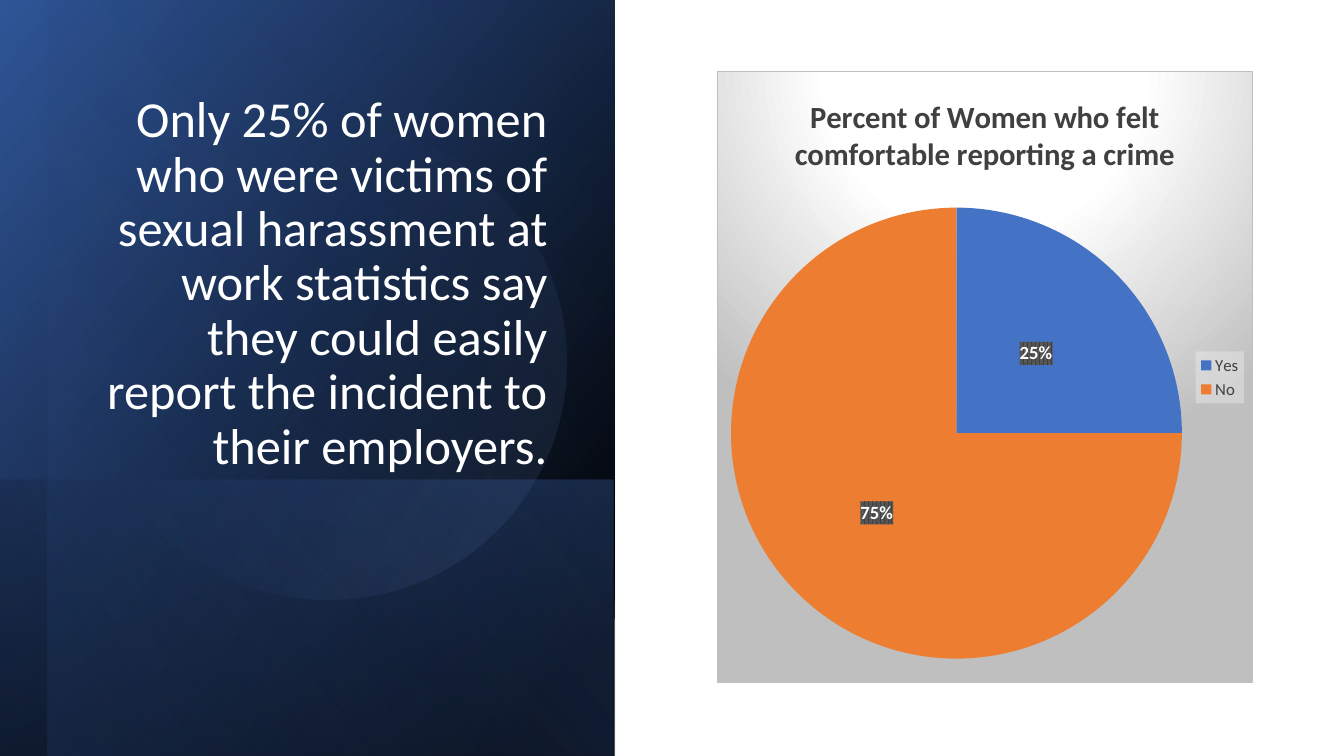
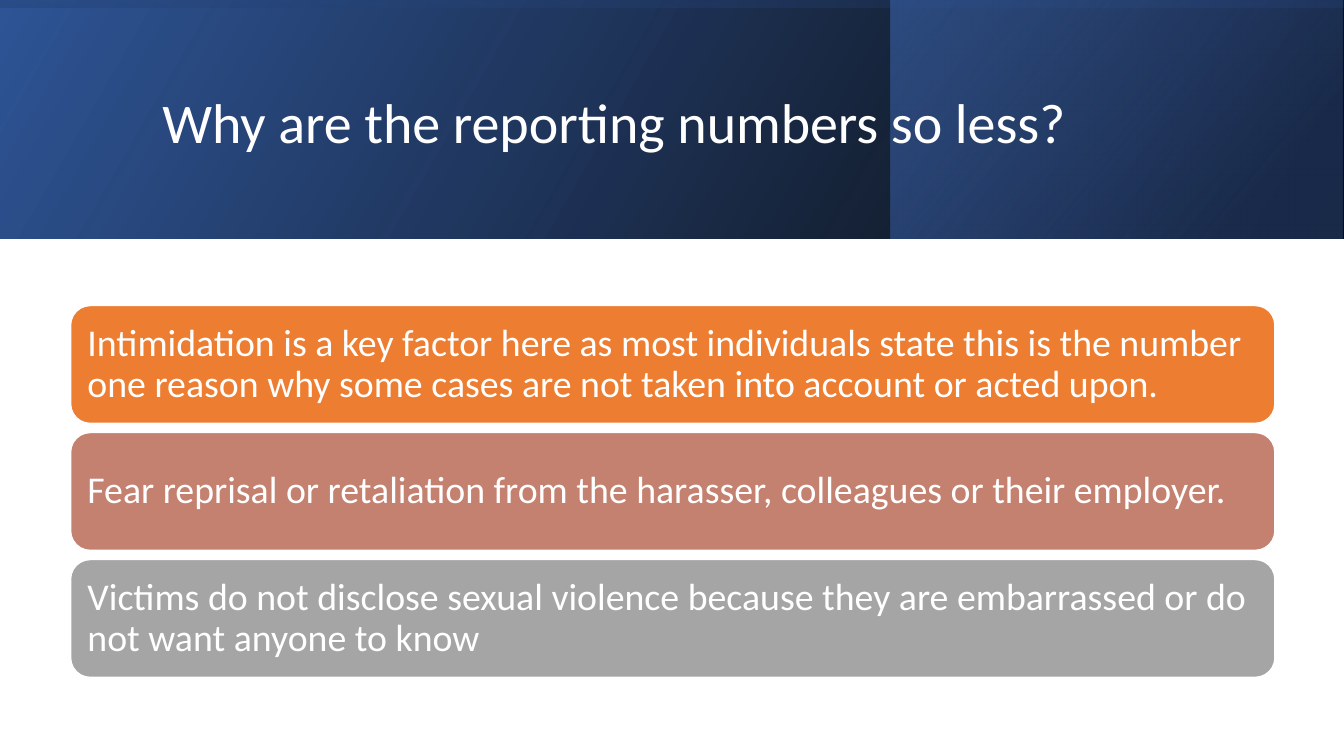
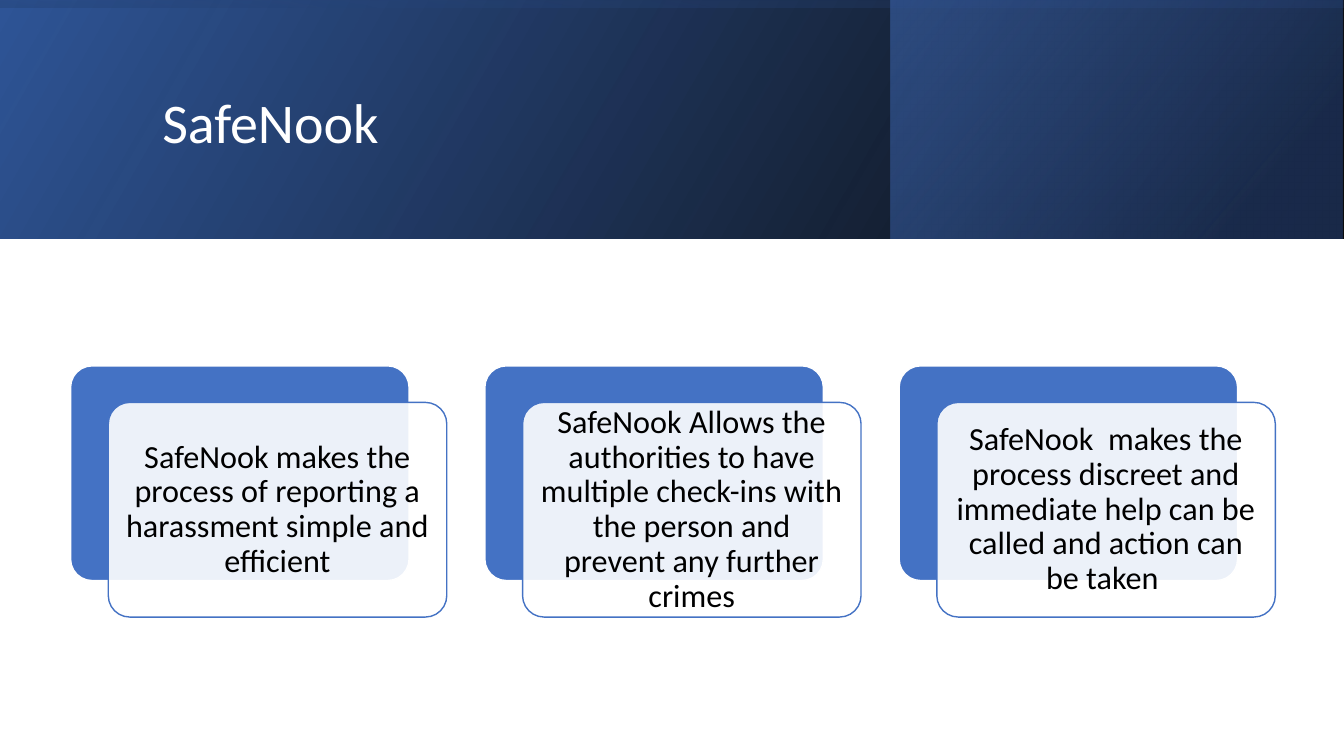
"""Build three slides on reporting harassment at work."""
import pptx
import pptx.chart.data
import pptx.dml.color
import pptx.enum.chart
import pptx.enum.shapes
import pptx.enum.text
import pptx.oxml
import pptx.oxml.ns
import pptx.util

Cm = pptx.util.Cm
Pt = pptx.util.Pt
RGB = pptx.dml.color.RGBColor.from_string
Kind = pptx.enum.shapes.MSO_SHAPE
Align = pptx.enum.text.PP_ALIGN
Anchor = pptx.enum.text.MSO_ANCHOR
NS = pptx.oxml.ns.nsdecls("a", "c")


class Theme:
    font = "Calibri"
    white, black, ink = "FFFFFF", "000000", "404040"
    blue, navy, deep, pale = "4472C4", "2F5597", "203864", "8FAADC"
    orange, rose, grey, silver = "ED7D31", "C48170", "A5A5A5", "BFBFBF"
    slate, mist = "595959", "F2F2F2"
    title, lead, pill, card = 40, 36, 27, 23
    head, label, key = 22, 13.3, 12


def panel(slide, kind, box, stops, angle, turn=0, flip=True):
    shape = slide.shapes.add_shape(kind, *map(Cm, box))
    marks = "".join(
        f'<a:gs pos="{pos * 1000}"><a:srgbClr val="{color}"><a:alpha val="{alpha * 1000}"/></a:srgbClr></a:gs>'
        for pos, color, alpha in stops)
    fill = pptx.oxml.parse_xml(
        f'<a:gradFill {NS} rotWithShape="1"><a:gsLst>{marks}</a:gsLst>'
        f'<a:lin ang="{angle * 60000}" scaled="0"/></a:gradFill>')
    props = shape._element.spPr
    props.prstGeom.addnext(fill)
    if flip:
        props.xfrm.set("flipH", "1")
    shape.rotation = turn
    shape.line.fill.background()
    shape.shadow.inherit = False


def write(shape, text, size, color, align=Align.LEFT, anchor=Anchor.MIDDLE, inset=None):
    frame = shape.text_frame
    frame.word_wrap = True
    frame.vertical_anchor = anchor
    if inset:
        frame.margin_left = frame.margin_right = Cm(inset)
        frame.margin_top = frame.margin_bottom = Cm(inset)
    para = frame.paragraphs[0]
    para.text = text
    para.alignment = align
    para.line_spacing = 0.9
    para.font.name = Theme.font
    para.font.size = Pt(size)
    para.font.color.rgb = RGB(color)


deck = pptx.Presentation()
deck.slide_width, deck.slide_height = Cm(33.87), Cm(19.05)
blank = deck.slide_layouts[6]

slide = deck.slides.add_slide(blank)
panel(slide, Kind.RECTANGLE, (-1.78, 1.78, 19.05, 15.49),
      [(8, Theme.black, 100), (100, Theme.navy, 100)], 50, 90)
panel(slide, Kind.RECTANGLE, (4.24, 7.82, 6.96, 15.49),
      [(2, Theme.blue, 29), (100, Theme.black, 30)], 130, 90)
panel(slide, Kind.RECTANGLE, (-1.17, 2.36, 19.05, 14.3),
      [(0, Theme.black, 0), (99, Theme.blue, 11)], 130, 90)
panel(slide, Kind.OVAL, (2.29, 3.12, 11.99, 11.99),
      [(39, Theme.blue, 0), (100, Theme.pale, 15)], 290, 101.6, False)
lead = slide.shapes.add_textbox(Cm(2.29), Cm(0.64), Cm(11.76), Cm(11.46))
write(lead, "Only 25% of women who were victims of sexual harassment at work statistics say "
      "they could easily report the incident to their employers.",
      Theme.lead, Theme.white, Align.RIGHT, Anchor.BOTTOM)

topic = "Percent of Women who felt comfortable reporting a crime"
data = pptx.chart.data.CategoryChartData()
data.categories = ["Yes", "No"]
data.add_series(topic, [25, 75])
chart = slide.shapes.add_chart(pptx.enum.chart.XL_CHART_TYPE.PIE,
                               Cm(18.06), Cm(1.8), Cm(13.51), Cm(15.42), data).chart
chart.font.name = Theme.font
chart.font.size = Pt(10)
chart.has_title = True
chart.chart_title.include_in_layout = False
head = chart.chart_title.text_frame.paragraphs[0]
head.text = topic
head.font.name = Theme.font
head.font.size = Pt(Theme.head)
head.font.bold = True
head.font.color.rgb = RGB(Theme.ink)

chart.has_legend = True
legend = chart.legend
legend.position = pptx.enum.chart.XL_LEGEND_POSITION.RIGHT
legend.include_in_layout = False
legend.font.name = Theme.font
legend.font.size = Pt(Theme.key)
legend.font.color.rgb = RGB(Theme.ink)

plot = chart.plots[0]
plot.vary_by_categories = True
pie = plot.series[0]
for spot, color in enumerate((Theme.blue, Theme.orange)):
    slice = pie.points[spot].format
    slice.fill.solid()
    slice.fill.fore_color.rgb = RGB(color)
    slice.line.fill.background()
labels = pie.data_labels
labels.show_percentage = True
labels.show_value = False
labels.position = pptx.enum.chart.XL_LABEL_POSITION.CENTER
labels.font.name = Theme.font
labels.font.size = Pt(Theme.label)
labels.font.bold = True
labels.font.color.rgb = RGB(Theme.white)

looks = [
    (chart._chartSpace,
     f'<a:gradFill><a:gsLst><a:gs pos="0"><a:srgbClr val="{Theme.white}"/></a:gs>'
     f'<a:gs pos="39000"><a:srgbClr val="{Theme.white}"/></a:gs>'
     f'<a:gs pos="100000"><a:srgbClr val="{Theme.silver}"/></a:gs></a:gsLst>'
     '<a:path path="circle"><a:fillToRect l="50000" t="-80000" r="50000" b="180000"/></a:path></a:gradFill>'
     f'<a:ln w="9525"><a:solidFill><a:srgbClr val="{Theme.silver}"/></a:solidFill></a:ln>'),
    (legend._element,
     f'<a:solidFill><a:srgbClr val="{Theme.mist}"><a:alpha val="39000"/></a:srgbClr></a:solidFill>'),
    (labels._element,
     f'<a:pattFill prst="pct75"><a:fgClr><a:srgbClr val="{Theme.ink}"/></a:fgClr>'
     f'<a:bgClr><a:srgbClr val="{Theme.slate}"/></a:bgClr></a:pattFill>'),
]
for part, look in looks:
    props = pptx.oxml.parse_xml(f"<c:spPr {NS}>{look}</c:spPr>")
    part.find(pptx.oxml.ns.qn("c:txPr")).addprevious(props)

pages = []
for title in ("Why are the reporting numbers so less?", "SafeNook"):
    slide = deck.slides.add_slide(blank)
    panel(slide, Kind.RECTANGLE, (0, 0, 33.87, 6.02),
          [(0, Theme.black, 96), (100, Theme.navy, 100)], 330)
    panel(slide, Kind.RECTANGLE, (22.45, 0, 11.38, 6.02),
          [(19, Theme.deep, 68), (100, Theme.blue, 48)], 320)
    panel(slide, Kind.RECTANGLE, (13.92, -13.92, 6.02, 33.87),
          [(23, Theme.navy, 16), (99, Theme.black, 45)], 350, 270)
    box = slide.shapes.add_textbox(Cm(3.84), Cm(0.97), Cm(27), Cm(4.37))
    write(box, title, Theme.title, Theme.white)
    pages.append(slide)
causes, gains = pages

pills = [
    (Theme.orange, "Intimidation is a key factor here as most individuals state this is the number one "
     "reason why some cases are not taken into account or acted upon."),
    (Theme.rose, "Fear reprisal or retaliation from the harasser, colleagues or their employer."),
    (Theme.grey, "Victims do not disclose sexual violence because they are embarrassed or do not want "
     "anyone to know"),
]
for row, (color, text) in enumerate(pills):
    pill = causes.shapes.add_shape(Kind.ROUNDED_RECTANGLE, Cm(1.78), Cm(7.7 + 3.2 * row),
                                   Cm(30.35), Cm(2.97))
    pill.fill.solid()
    pill.fill.fore_color.rgb = RGB(color)
    pill.line.color.rgb = RGB(Theme.white)
    pill.line.width = Pt(1)
    pill.shadow.inherit = False
    write(pill, text, Theme.pill, Theme.white, inset=0.28)

cards = [
    "SafeNook makes the process of reporting a harassment simple and efficient",
    "SafeNook Allows the authorities to have multiple check-ins with the person and prevent "
    "any further crimes",
    "SafeNook  makes the process discreet and immediate help can be called and action can be taken ",
]
for col, text in enumerate(cards):
    left = 1.78 + 10.44 * col
    for x, y, color, edge in ((left, 9.22, Theme.blue, Theme.white),
                              (left + 0.95, 10.14, Theme.white, Theme.blue)):
        card = gains.shapes.add_shape(Kind.ROUNDED_RECTANGLE, Cm(x), Cm(y), Cm(8.53), Cm(5.41))
        card.adjustments[0] = 0.1
        card.fill.solid()
        card.fill.fore_color.rgb = RGB(color)
        card.line.color.rgb = RGB(edge)
        card.line.width = Pt(1)
        card.shadow.inherit = False
    tint = card._element.spPr.find(pptx.oxml.ns.qn("a:solidFill"))[0]
    tint.append(pptx.oxml.parse_xml(f'<a:alpha {NS} val="90000"/>'))
    write(card, text, Theme.card, Theme.black, Align.CENTER, inset=0.25)

deck.save("out.pptx")
